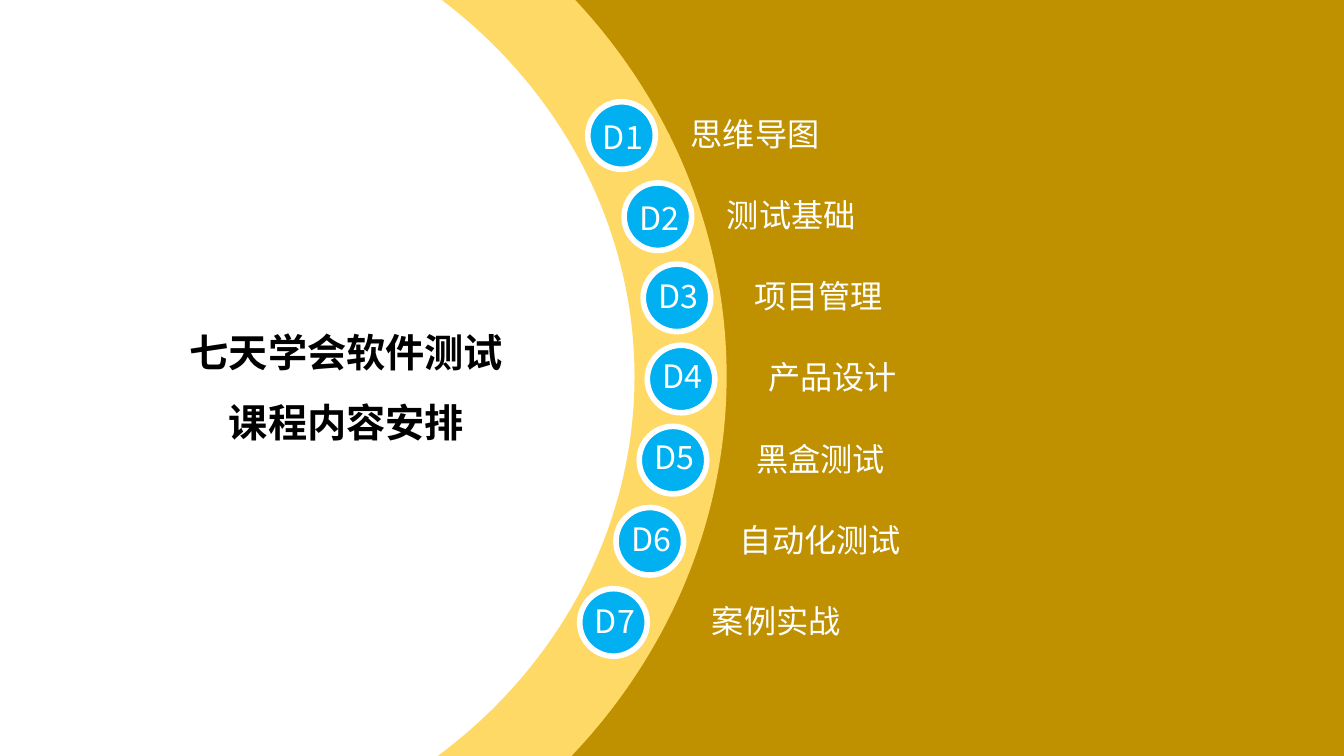
"""Build the seven-day software testing course overview slide."""
from dataclasses import dataclass

from lxml.etree import SubElement
from pptx import Presentation
from pptx.dml.color import RGBColor as Color
from pptx.enum.shapes import MSO_SHAPE as Preset
from pptx.enum.text import MSO_ANCHOR as Anchor, MSO_AUTO_SIZE as AutoSize, PP_ALIGN as Align
from pptx.oxml.ns import qn
from pptx.shapes.autoshape import Shape
from pptx.slide import Slide
from pptx.text.text import TextFrame
from pptx.util import Inches, Pt


@dataclass(frozen=True)
class Theme:
    """Colours, font and type sizes of the slide."""
    gold: Color = Color.from_string("BF9000")
    ring: Color = Color.from_string("FFD966")
    blue: Color = Color.from_string("00B0F0")
    white: Color = Color.from_string("FFFFFF")
    black: Color = Color.from_string("000000")
    font: str = "Noto Sans CJK SC"
    title_size: int = 28
    label_size: int = 23


@dataclass(frozen=True)
class Box:
    """A rectangle in inches."""
    left: float
    top: float
    width: float
    height: float

    def lengths(self) -> list[int]:
        """Return the four values as slide lengths."""
        return [Inches(value) for value in (self.left, self.top, self.width, self.height)]


@dataclass(frozen=True)
class Day:
    """One course day: topic, circle left, tag top, label left and label width."""
    topic: str
    dot_left: float
    tag_top: float
    label_left: float
    label_width: float


THEME = Theme()
TITLE_LINES = ("七天学会软件测试", "课程内容安排")
TITLE_BOX = Box(1.77, 2.97, 3.59, 1.51)
OUTER_DISC = Box(-5.09, -1.96, 12.29, 11.38)
INNER_DISC = Box(-4.15, -1.1, 10.45, 9.67)
DAYS = (
    Day("思维导图", 5.83, 1.14, 6.42, 6.11),
    Day("测试基础", 6.19, 1.94, 6.78, 5.63),
    Day("项目管理", 6.38, 2.72, 7.05, 5.36),
    Day("产品设计", 6.42, 3.51, 7.19, 5.28),
    Day("黑盒测试", 6.34, 4.31, 7.07, 5.36),
    Day("自动化测试", 6.11, 5.13, 6.91, 5.63),
    Day("案例实战", 5.75, 5.94, 6.63, 6.11),
)
ROW_STEP = 4.83 / (len(DAYS) - 1)
LABEL_TOP, LABEL_HEIGHT = 1.08, 0.54
DOT_TOP, DOT_SIZE = 1.01, 0.67
TAG_SHIFT, TAG_WIDTH, TAG_HEIGHT = 0.15, 0.45, 0.48


def set_margins(frame: TextFrame, left: float, top: float, right: float, bottom: float) -> None:
    """Set the four insets of a text frame in inches."""
    frame.margin_left, frame.margin_top = Inches(left), Inches(top)
    frame.margin_right, frame.margin_bottom = Inches(right), Inches(bottom)


def format_text(frame: TextFrame, size: int, color: Color, align: Align,
                spacing: float, after: int = 0, bold: bool = False) -> None:
    """Format every paragraph and run of a text frame."""
    frame.word_wrap = True
    for para in frame.paragraphs:
        para.alignment = align
        para.line_spacing = spacing
        para.space_before, para.space_after = Pt(0), Pt(after)
        for span in para.runs:
            span.font.name = THEME.font
            span.font.size = Pt(size)
            span.font.bold = bold
            span.font.color.rgb = color
            SubElement(span._r.get_or_add_rPr(), qn("a:ea"), typeface=THEME.font)


def add_filled(slide: Slide, preset: Preset, box: Box, fill: Color,
               line: Color | None = None, width: int = 1) -> Shape:
    """Add a flat preset shape with an optional outline."""
    shape = slide.shapes.add_shape(preset, *box.lengths())
    shape.shadow.inherit = False
    shape.fill.solid()
    shape.fill.fore_color.rgb = fill
    if line is None:
        shape.line.fill.background()
    else:
        shape.line.color.rgb = line
        shape.line.width = Pt(width)
    return shape


def write_label(frame: TextFrame, text: str) -> None:
    """Write one white, vertically centred line."""
    frame.text = text
    frame.vertical_anchor = Anchor.MIDDLE
    format_text(frame, THEME.label_size, THEME.white, Align.LEFT, 0.9, after=8)


def add_topic(slide: Slide, row: int, day: Day) -> None:
    """Add the topic bar of a day."""
    box = Box(day.label_left, LABEL_TOP + row * ROW_STEP, day.label_width, LABEL_HEIGHT)
    bar = add_filled(slide, Preset.RECTANGLE, box, THEME.gold)
    set_margins(bar.text_frame, 0.43, 0.06, 0.06, 0.06)
    write_label(bar.text_frame, day.topic)


def add_dot(slide: Slide, row: int, day: Day) -> None:
    """Add the circle of a day."""
    box = Box(day.dot_left, DOT_TOP + row * ROW_STEP, DOT_SIZE, DOT_SIZE)
    add_filled(slide, Preset.OVAL, box, THEME.blue, THEME.white, 4)


def add_tag(slide: Slide, row: int, day: Day) -> None:
    """Add the day number over its circle."""
    box = Box(day.dot_left + TAG_SHIFT, day.tag_top, TAG_WIDTH, TAG_HEIGHT)
    frame = slide.shapes.add_textbox(*box.lengths()).text_frame
    set_margins(frame, 0, 0, 0, 0)
    write_label(frame, f"D{row + 1}")


def place_title(slide: Slide) -> None:
    """Move the title placeholder in front of the discs and format it."""
    title = slide.shapes.title
    title.left, title.top, title.width, title.height = TITLE_BOX.lengths()
    title.element.getparent().append(title.element)
    frame = title.text_frame
    frame.text = "\n".join(TITLE_LINES)
    frame.vertical_anchor = Anchor.TOP
    frame.auto_size = AutoSize.SHAPE_TO_FIT_TEXT
    set_margins(frame, 0.1, 0.05, 0.36, 0.05)
    format_text(frame, THEME.title_size, THEME.black, Align.CENTER, 1.5, bold=True)


def main() -> None:
    """Build and save the deck."""
    deck = Presentation()
    deck.slide_width, deck.slide_height = Inches(13.33), Inches(7.5)
    page = deck.slides.add_slide(deck.slide_layouts.get_by_name("Title Only"))
    page.background.fill.solid()
    page.background.fill.fore_color.rgb = THEME.gold
    for row, day in enumerate(DAYS):
        add_topic(page, row, day)
    add_filled(page, Preset.OVAL, OUTER_DISC, THEME.ring, THEME.ring)
    for row, day in enumerate(DAYS):
        add_dot(page, row, day)
    add_filled(page, Preset.OVAL, INNER_DISC, THEME.white, THEME.ring)
    place_title(page)
    for row, day in enumerate(DAYS):
        add_tag(page, row, day)
    deck.save("out.pptx")


if __name__ == "__main__":
    main()
